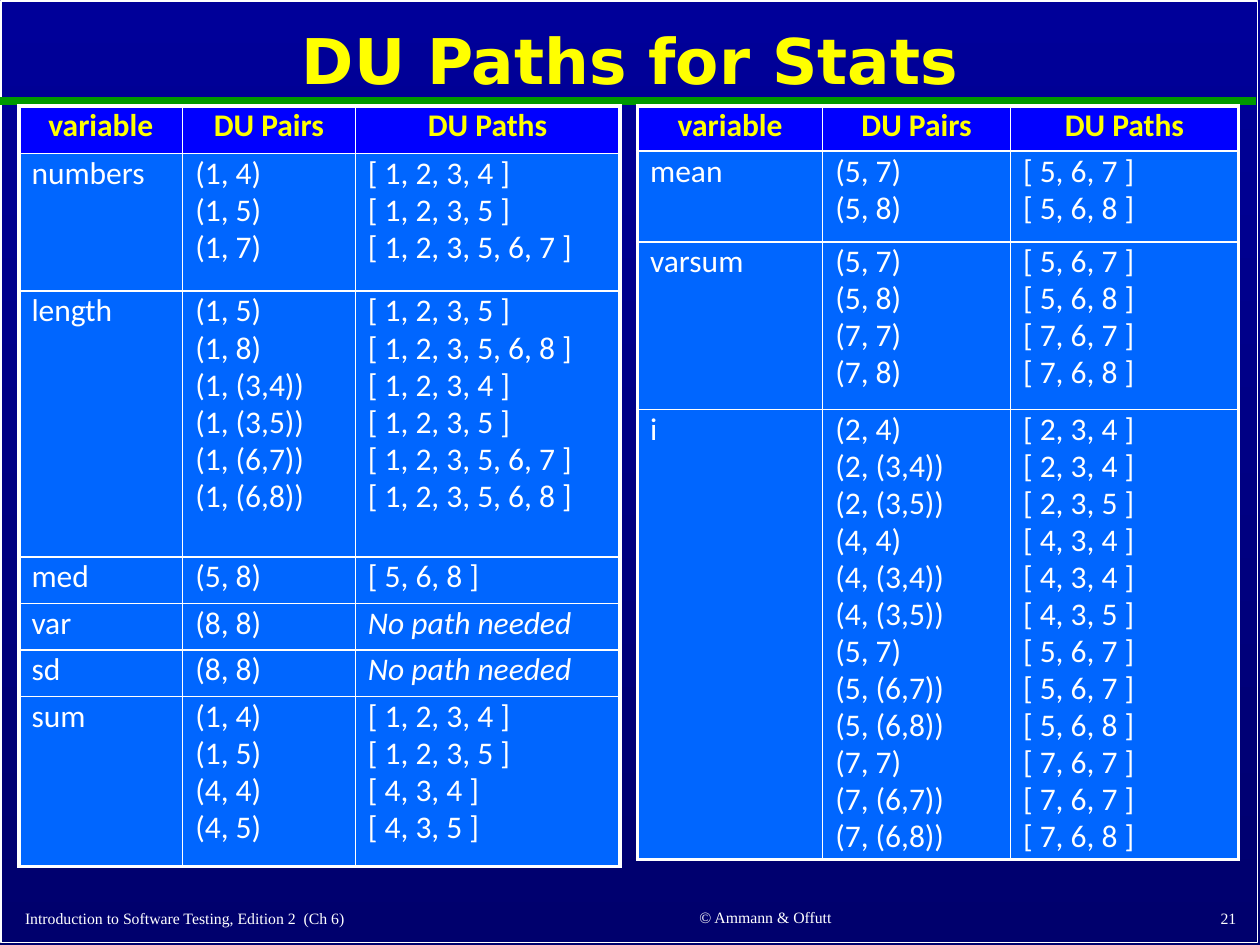
import pptx
import pptx.dml.color
import pptx.enum.shapes
import pptx.enum.text
import pptx.oxml
import pptx.oxml.ns
import pptx.util

Inches, Pt = pptx.util.Inches, pptx.util.Pt
Align, Anchor = pptx.enum.text.PP_ALIGN, pptx.enum.text.MSO_ANCHOR

THEME = {
    "white": "FFFFFF", "yellow": "FFFF00", "green": "009900",
    "head": "0000FF", "body": "0066FF", "top": "000099", "base": "00006D",
    "title": ("DejaVu Sans", 36), "cell": ("Calibri", 18),
    "foot": ("Times New Roman", 9),
    "frame": 1, "rule": 4.5, "outer": 2.25, "inner": 1,
}

TITLE = "DU Paths for Stats"
FEET = [
    ("Introduction to Software Testing, Edition 2  (Ch 6)",
     (0.1, 7.16, 4.11, 0.26), Align.LEFT),
    ("© Ammann & Offutt", (4.49, 7.15, 3.17, 0.26), Align.CENTER),
    ("21", (7.83, 7.15, 2.08, 0.27), Align.RIGHT),
]
HEAD = ("variable", "DU Pairs", "DU Paths")
NONE = "No path needed"

# Each row: height, variable, then its (pair, path) lines
LEFT = [
    (1.09, "numbers", [("(1, 4)", "[ 1, 2, 3, 4 ]"),
                       ("(1, 5)", "[ 1, 2, 3, 5 ]"),
                       ("(1, 7)", "[ 1, 2, 3, 5, 6, 7 ]")]),
    (2.11, "length", [("(1, 5)", "[ 1, 2, 3, 5 ]"),
                      ("(1, 8)", "[ 1, 2, 3, 5, 6, 8 ]"),
                      ("(1, (3,4))", "[ 1, 2, 3, 4 ]"),
                      ("(1, (3,5))", "[ 1, 2, 3, 5 ]"),
                      ("(1, (6,7))", "[ 1, 2, 3, 5, 6, 7 ]"),
                      ("(1, (6,8))", "[ 1, 2, 3, 5, 6, 8 ]")]),
    (0.37, "med", [("(5, 8)", "[ 5, 6, 8 ]")]),
    (0.37, "var", [("(8, 8)", NONE)]),
    (0.37, "sd", [("(8, 8)", NONE)]),
    (1.35, "sum", [("(1, 4)", "[ 1, 2, 3, 4 ]"),
                   ("(1, 5)", "[ 1, 2, 3, 5 ]"),
                   ("(4, 4)", "[ 4, 3, 4 ]"),
                   ("(4, 5)", "[ 4, 3, 5 ]")]),
]
RIGHT = [
    (0.72, "mean", [("(5, 7)", "[ 5, 6, 7 ]"),
                    ("(5, 8)", "[ 5, 6, 8 ]")]),
    (1.33, "varsum", [("(5, 7)", "[ 5, 6, 7 ]"),
                      ("(5, 8)", "[ 5, 6, 8 ]"),
                      ("(7, 7)", "[ 7, 6, 7 ]"),
                      ("(7, 8)", "[ 7, 6, 8 ]")]),
    (3.57, "i", [("(2, 4)", "[ 2, 3, 4 ]"),
                 ("(2, (3,4))", "[ 2, 3, 4 ]"),
                 ("(2, (3,5))", "[ 2, 3, 5 ]"),
                 ("(4, 4)", "[ 4, 3, 4 ]"),
                 ("(4, (3,4))", "[ 4, 3, 4 ]"),
                 ("(4, (3,5))", "[ 4, 3, 5 ]"),
                 ("(5, 7)", "[ 5, 6, 7 ]"),
                 ("(5, (6,7))", "[ 5, 6, 7 ]"),
                 ("(5, (6,8))", "[ 5, 6, 8 ]"),
                 ("(7, 7)", "[ 7, 6, 7 ]"),
                 ("(7, (6,7))", "[ 7, 6, 7 ]"),
                 ("(7, (6,8))", "[ 7, 6, 8 ]")]),
]
TABLES = [  # left edge, column widths, head height, rows
    (0.15, (1.3, 1.37, 2.1), 0.38, LEFT),
    (5.06, (1.47, 1.49, 1.81), 0.36, RIGHT),
]
TOP = 0.84


def color(name):
    return pptx.dml.color.RGBColor.from_string(THEME[name])


def write(frame, lines, style, ink, align, bold=False, space=None):
    face, size = THEME[style]
    for n, line in enumerate(lines):
        para = frame.add_paragraph() if n else frame.paragraphs[0]
        para.alignment = align
        if space:
            para.line_spacing = space
        if n:
            para.space_before = Pt(size * 0.2)
        run = para.add_run()
        run.text = line
        font = run.font
        font.name, font.size, font.bold = face, Pt(size), bold
        font.italic = line == NONE
        font.color.rgb = color(ink)


def add_text(slide, text, place, style, ink, align, **look):
    frame = slide.shapes.add_textbox(*map(Inches, place)).text_frame
    frame.word_wrap = True
    frame.vertical_anchor = Anchor.MIDDLE
    write(frame, [text], style, ink, align, **look)


def edge(cell, sides):
    """Draw the cell's borders; sides holds a width in points per side."""
    props = cell._tc.get_or_add_tcPr()
    for n, side in enumerate("LRTB"):
        props.insert(n, pptx.oxml.parse_xml(
            f'<a:ln{side} {pptx.oxml.ns.nsdecls("a")} w="{Pt(sides[side])}">'
            f'<a:solidFill><a:srgbClr val="{THEME["white"]}"/></a:solidFill>'
            f'</a:ln{side}>'))


def add_grid(slide, left, widths, head, rows):
    highs = [head] + [row[0] for row in rows]
    cells = [[[name] for name in HEAD]]
    for _, name, lines in rows:
        pairs, paths = zip(*lines)
        cells.append([[name], pairs, paths])
    grid = slide.shapes.add_table(
        len(highs), len(widths), Inches(left), Inches(TOP),
        Inches(sum(widths)), Inches(sum(highs))).table
    for col, width in zip(grid.columns, widths):
        col.width = Inches(width)
    for row, high in zip(grid.rows, highs):
        row.height = Inches(high)
    for r, line in enumerate(cells):
        for c, texts in enumerate(line):
            cell = grid.cell(r, c)
            cell.fill.solid()
            cell.fill.fore_color.rgb = color("body" if r else "head")
            write(cell.text_frame, texts, "cell", "white" if r else "yellow",
                  Align.LEFT if r else Align.CENTER, bold=not r, space=0.8)
            rim = {"L": c == 0, "R": c == len(widths) - 1,
                   "T": r == 0, "B": r == len(highs) - 1}
            edge(cell, {side: THEME["outer" if out else "inner"]
                        for side, out in rim.items()})


def main():
    deck = pptx.Presentation()
    deck.slide_width, deck.slide_height = Inches(10), Inches(7.5)
    slide = deck.slides.add_slide(deck.slide_layouts[6])

    fill = slide.background.fill
    fill.gradient()
    fill.gradient_angle = 270
    for stop, name, spot in zip(fill.gradient_stops, ("top", "base"), (0, 1)):
        stop.color.rgb = color(name)
        stop.position = spot

    border = slide.shapes.add_shape(
        pptx.enum.shapes.MSO_SHAPE.RECTANGLE,
        *map(Inches, (0.01, 0.01, 9.97, 7.47)))
    border.shadow.inherit = False
    border.fill.background()
    border.line.color.rgb = color("white")
    border.line.width = Pt(THEME["frame"])

    rule = slide.shapes.add_connector(
        pptx.enum.shapes.MSO_CONNECTOR.STRAIGHT,
        *map(Inches, (0, 0.8, 9.97, 0.8)))
    rule.line.color.rgb = color("green")
    rule.line.width = Pt(THEME["rule"])
    rule._element.spPr.append(pptx.oxml.parse_xml(
        f'<a:effectLst {pptx.oxml.ns.nsdecls("a")}/>'))

    for text, place, align in FEET:
        add_text(slide, text, place, "foot", "white", align)
    add_text(slide, TITLE, (0.75, 0.11, 8.5, 0.79), "title", "yellow",
             Align.CENTER, bold=True, space=0.9)
    for table in TABLES:
        add_grid(slide, *table)
    deck.save("out.pptx")


if __name__ == "__main__":
    main()
